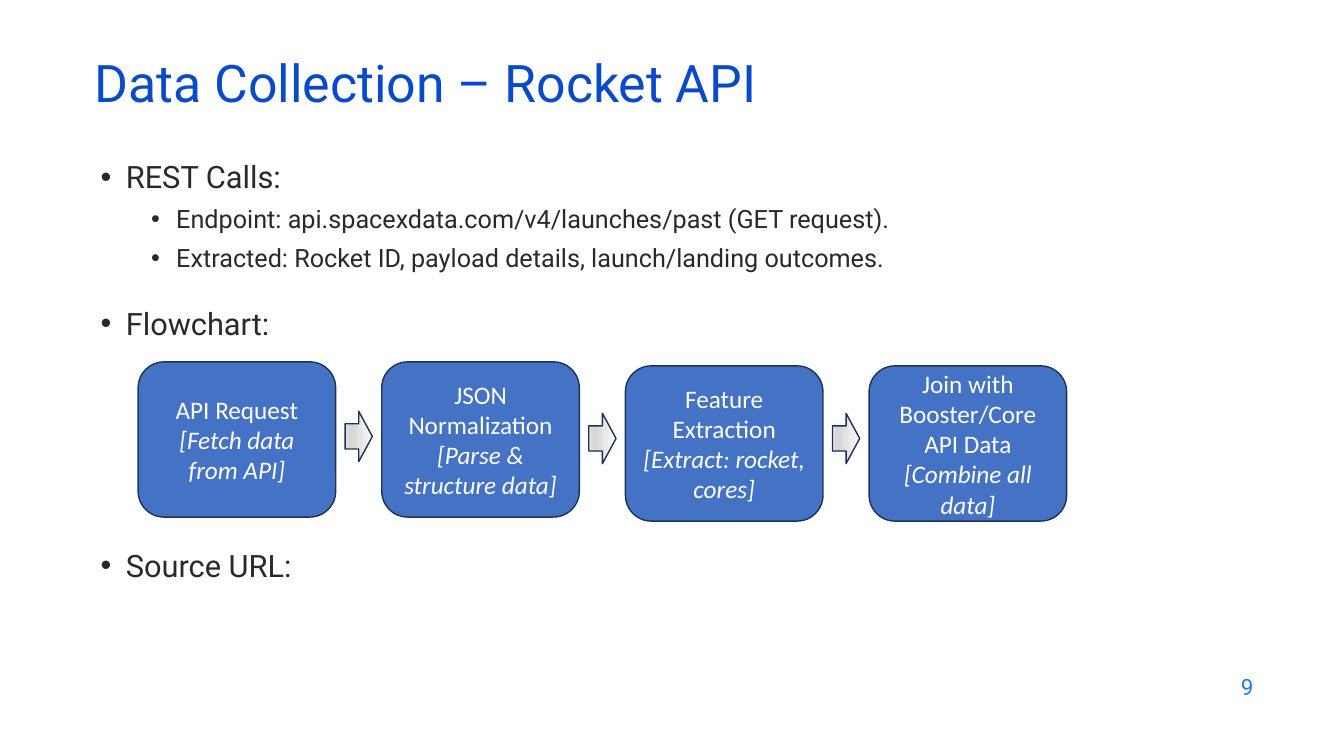
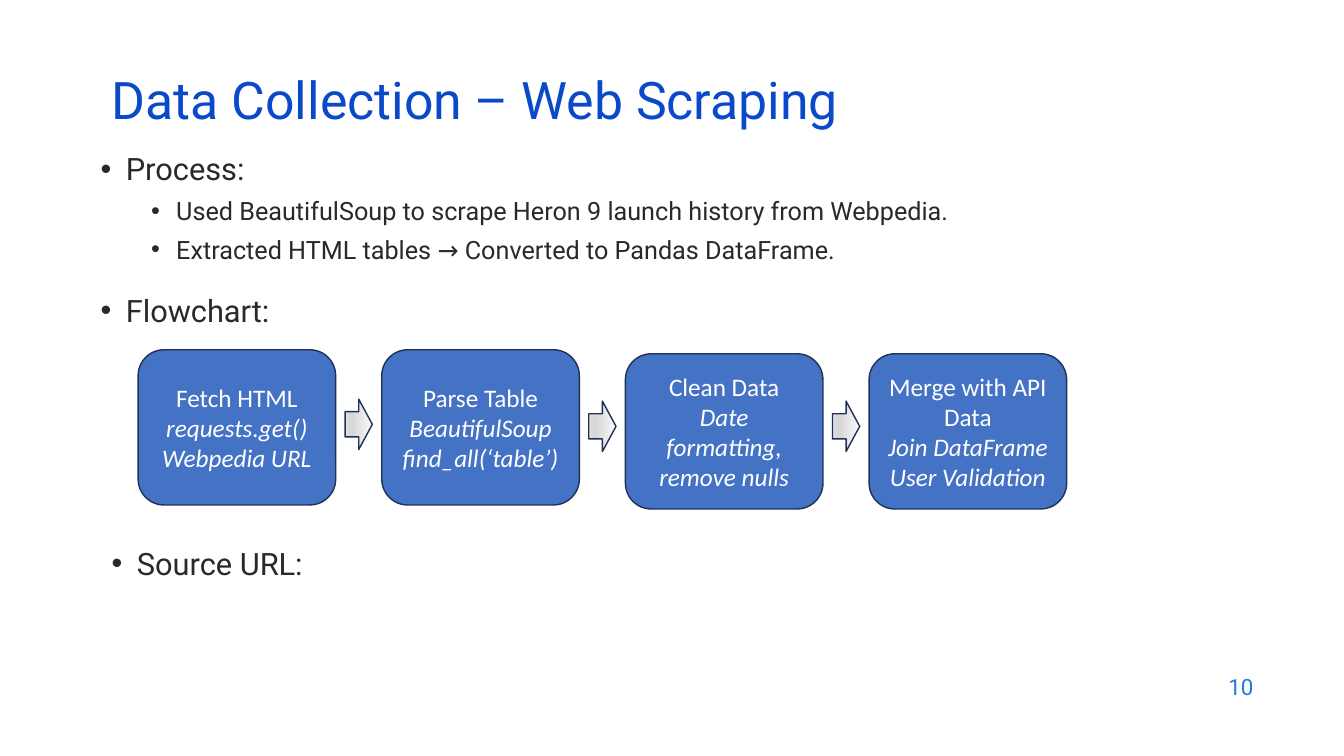
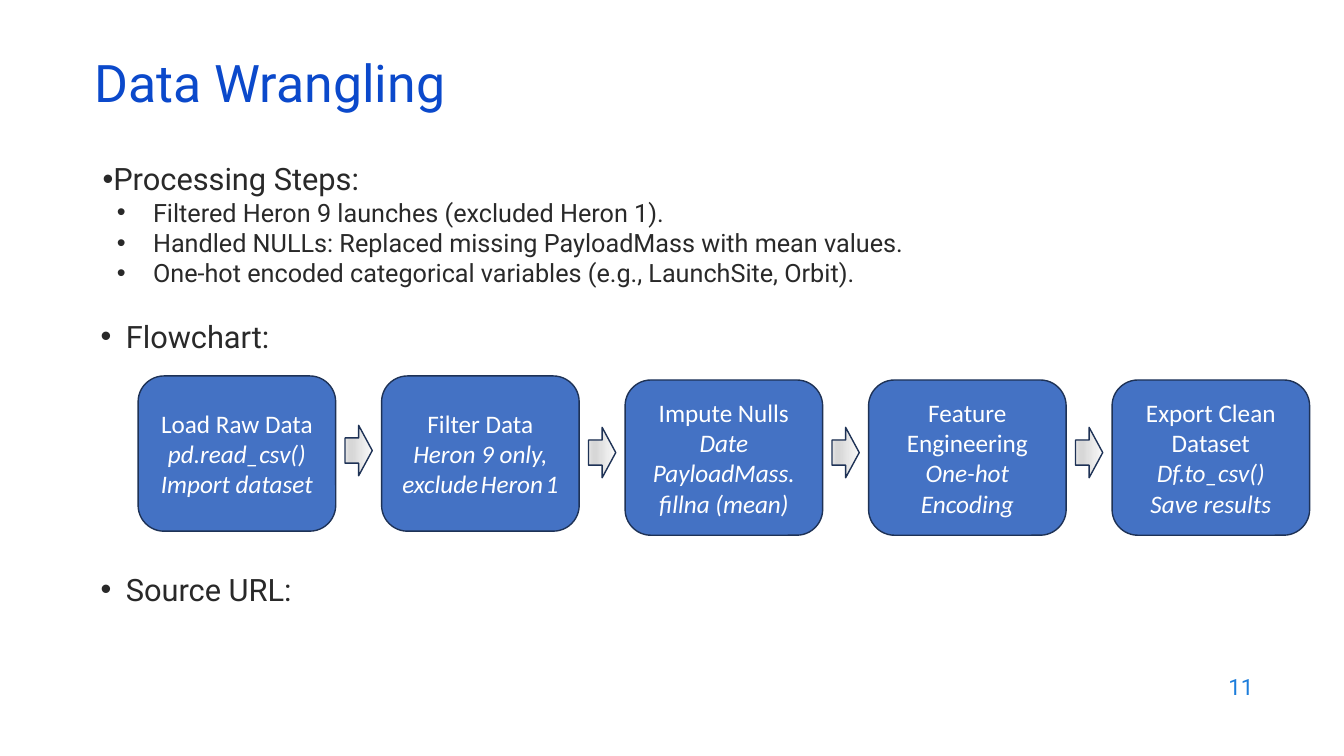
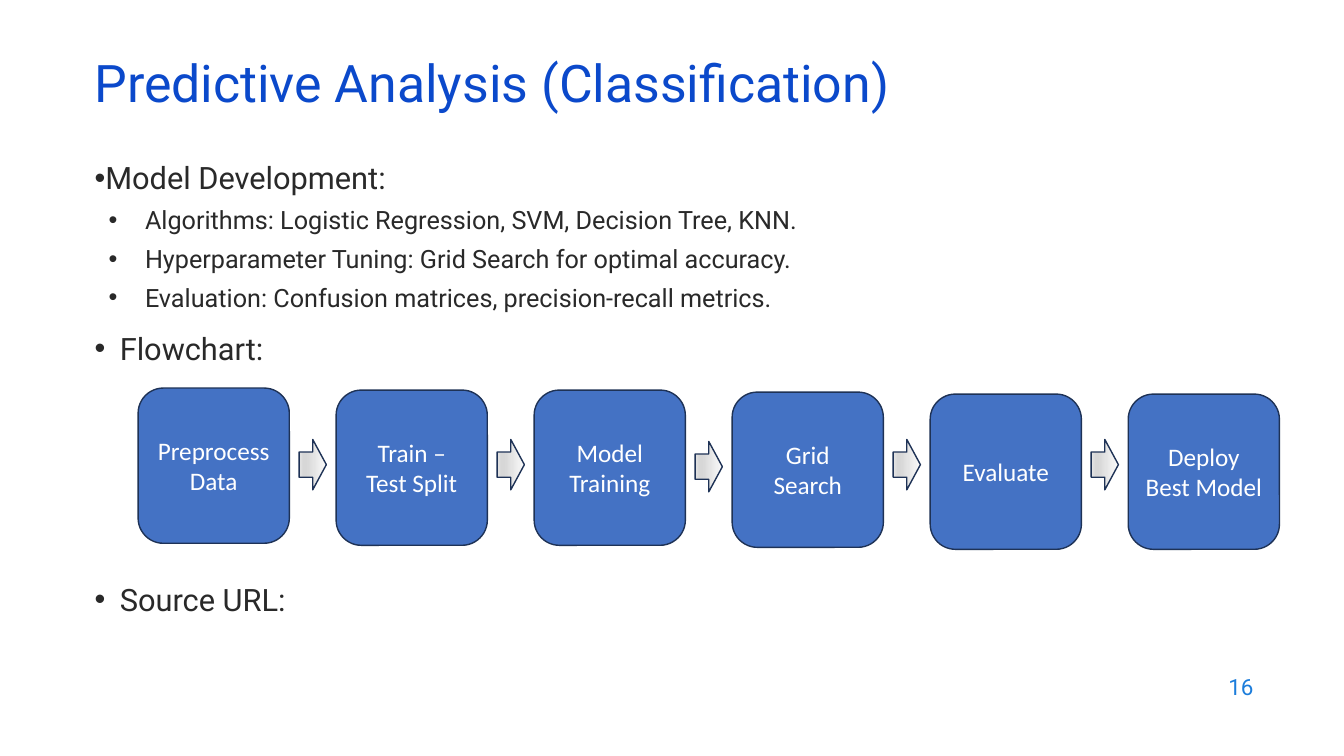
from lxml import etree
from pptx import Presentation
from pptx import util as u
from pptx.dml.color import RGBColor
from pptx.enum import shapes, text
from pptx.oxml.ns import qn

COLORS = {"title": "0B49CB", "body": "292929", "number": "1C7DDB",
          "box": "4472C4", "outline": "1E3256", "box_text": "FFFFFF"}
ARROW_STOPS = [(0, "FAFAFA"), (74, "D7D7D7"), (83, "D7D7D7"), (100, "E4E4E4")]

# Text styles
STYLES = {
    "title": {"name": "Roboto", "size": u.Pt(37), "color": "title"},
    "heading": {"name": "Roboto", "size": u.Pt(22), "color": "body"},
    "detail": {"name": "Roboto", "size": u.Pt(18), "color": "body"},
    "number": {"name": "Roboto", "size": u.Pt(16), "color": "number"},
    "step": {"name": "Calibri", "size": u.Pt(18), "color": "box_text"},
    "step_note": {"name": "Calibri", "size": u.Pt(18), "color": "box_text", "italic": True},
    "thin_space": {"name": "Calibri", "size": u.Pt(8), "color": "box_text", "italic": True},
}

# Bullet (margin, hanging indent) in inches
HEADING_INDENT = (0.25, -0.25)
WIDE_INDENTS = (HEADING_INDENT, (0.75, -0.25))
TIGHT_INDENTS = ((0, 0), (0.5, -0.36))

# Flowchart measures in inches
BOX_LEFT, BOX_HEIGHT = 1.37, 1.54
ARROW_WIDTH, ARROW_HEIGHT = 0.27, 0.5
THREE_LEVELS = {"box_drops": [0, 0, 0.04, 0.04, 0.04], "arrow_drops": [0.49, 0.51, 0.51, 0.51]}

# Content: each step is (lines, note lines); "~" marks a thin space
SLIDES = [
    {"number": 9, "title": "Data Collection – Rocket API", "title_at": (0.84, 0.59),
     "body_at": (0.9, 1.52, 11.44, 1.35), "indents": WIDE_INDENTS, "detail_gap": 6,
     "body": ["REST Calls:",
              "Endpoint: api.spacexdata.com/v4/launches/past (GET request).",
              "Extracted: Rocket ID, payload details, launch/landing outcomes."],
     "labels": [("Flowchart:", 0.9, 2.97), ("Source URL:", 0.9, 5.37)],
     "flow": {"top": 3.59, "last_left": 8.62, "width": 1.96, **THREE_LEVELS},
     "steps": [(["API Request"], ["[Fetch data from API]"]),
               (["JSON Normalization"], ["[Parse & structure data]"]),
               (["Feature Extraction"], ["[Extract: rocket, cores]"]),
               (["Join with Booster/Core API Data"], ["[Combine all data]"])]},
    {"number": 10, "title": "Data Collection – Web Scraping", "title_at": (1.01, 0.76),
     "body_at": (0.9, 1.44, 11.5, 1.41), "indents": WIDE_INDENTS, "detail_gap": 6,
     "body": ["Process:",
              "Used BeautifulSoup to scrape Heron 9 launch history from Webpedia.",
              "Extracted HTML tables → Converted to Pandas DataFrame."],
     "labels": [("Flowchart:", 0.9, 2.84), ("Source URL:", 1.01, 5.35)],
     "flow": {"top": 3.47, "last_left": 8.62, "width": 1.96, **THREE_LEVELS},
     "steps": [(["Fetch HTML"], ["requests.get() Webpedia URL"]),
               (["Parse Table"], ["BeautifulSoup find_all(‘table’)"]),
               (["Clean Data"], ["Date formatting, remove nulls"]),
               (["Merge with API Data"], ["Join DataFrame User Validation"])]},
    {"number": 11, "title": "Data Wrangling", "title_at": (0.84, 0.59),
     "body_at": (0.92, 1.54, 11.5, 1.53), "indents": TIGHT_INDENTS, "detail_gap": 0,
     "body": ["Processing Steps:",
              "Filtered Heron 9 launches (excluded Heron 1).",
              "Handled NULLs: Replaced missing PayloadMass with mean values.",
              "One-hot encoded categorical variables (e.g., LaunchSite, Orbit)."],
     "labels": [("Flowchart:", 0.9, 3.1), ("Source URL:", 0.9, 5.61)],
     "flow": {"top": 3.73, "last_left": 11.03, "width": 1.96, **THREE_LEVELS},
     "steps": [(["Load Raw Data"], ["pd.read_csv() Import dataset"]),
               (["Filter Data"], ["Heron 9 only, exclude~Heron~1"]),
               (["Impute Nulls"], ["Date PayloadMass.", "fillna (mean)"]),
               (["Feature Engineering"], ["One-hot Encoding"]),
               (["Export Clean Dataset"], ["Df.to_csv()", "Save results"])]},
    {"number": 16, "title": "Predictive Analysis (Classification)", "title_at": (0.84, 0.59),
     "body_at": (0.84, 1.53, 10.66, 1.69), "indents": TIGHT_INDENTS, "detail_gap": 6,
     "body": ["Model Development:",
              "Algorithms: Logistic Regression, SVM, Decision Tree, KNN.",
              "Hyperparameter Tuning: Grid Search for optimal accuracy.",
              "Evaluation: Confusion matrices, precision-recall metrics."],
     "labels": [("Flowchart:", 0.84, 3.22), ("Source URL:", 0.84, 5.71)],
     "flow": {"top": 3.85, "last_left": 11.19, "width": 1.5,
              "box_drops": [0, 0.02, 0.02, 0.04, 0.06, 0.06],
              "arrow_drops": [0.51, 0.51, 0.53, 0.51, 0.51]},
     "steps": [(["Preprocess Data"], []), (["Train –", "Test Split"], []),
               (["Model Training"], []), (["Grid Search"], []),
               (["Evaluate"], []), (["Deploy Best Model"], [])]},
]


def rgb(name):
    return RGBColor.from_string(COLORS[name])


def add_run(paragraph, words, style):
    run = paragraph.add_run()
    run.text = words
    for key, value in STYLES[style].items():
        if key == "color":
            run.font.color.rgb = rgb(value)
        else:
            setattr(run.font, key, value)


def add_line(frame, words, style, **formats):
    """Fill the first empty paragraph of the frame, or add one."""
    paragraph = frame.paragraphs[0]
    if paragraph.runs:
        paragraph = frame.add_paragraph()
    for key, value in formats.items():
        setattr(paragraph, key, value)
    for index, part in enumerate(words.split("~")):
        if index:
            add_run(paragraph, " ", "thin_space")
        add_run(paragraph, part, style)
    return paragraph


def add_bullet(paragraph, indent):
    properties = paragraph._p.get_or_add_pPr()
    for key, inches in zip(("marL", "indent"), indent):
        properties.set(key, str(u.Inches(inches)))
    etree.SubElement(properties, qn("a:buFont")).set("typeface", "Arial")
    etree.SubElement(properties, qn("a:buChar")).set("char", "•")


def add_frame(slide, left, top, width, height, anchor=text.MSO_ANCHOR.TOP):
    box = slide.shapes.add_textbox(*map(u.Inches, (left, top, width, height)))
    box.text_frame.word_wrap = True
    box.text_frame.vertical_anchor = anchor
    return box.text_frame


def add_outlined(slide, kind, left, top, width, height):
    shape = slide.shapes.add_shape(kind, *map(u.Inches, (left, top, width, height)))
    shape.shadow.inherit = False
    shape.line.color.rgb = rgb("outline")
    shape.line.width = u.Pt(1)
    return shape


def add_step(slide, left, top, width, lines, notes):
    box = add_outlined(slide, shapes.MSO_SHAPE.ROUNDED_RECTANGLE, left, top, width, BOX_HEIGHT)
    box.fill.solid()
    box.fill.fore_color.rgb = rgb("box")
    frame = box.text_frame
    frame.word_wrap = True
    frame.vertical_anchor = text.MSO_ANCHOR.MIDDLE
    for style, group in (("step", lines), ("step_note", notes)):
        for words in group:
            add_line(frame, words, style, alignment=text.PP_ALIGN.CENTER)


def add_arrow(slide, left, top):
    arrow = add_outlined(slide, shapes.MSO_SHAPE.RIGHT_ARROW, left, top, ARROW_WIDTH, ARROW_HEIGHT)
    arrow.fill.gradient()
    arrow.fill.gradient_angle = 180
    stops = arrow.element.spPr.find(qn("a:gradFill")).find(qn("a:gsLst"))
    for stop in list(stops):
        stops.remove(stop)
    for percent, color in ARROW_STOPS:
        stop = etree.SubElement(stops, qn("a:gs"), pos=str(percent * 1000))
        etree.SubElement(stop, qn("a:srgbClr"), val=color)


def add_flowchart(slide, steps, flow):
    top, width = flow["top"], flow["width"]
    pitch = (flow["last_left"] - BOX_LEFT) / (len(steps) - 1)
    for index, (lines, notes) in enumerate(steps):
        add_step(slide, BOX_LEFT + index * pitch, top + flow["box_drops"][index],
                 width, lines, notes)
    arrow_left = BOX_LEFT + (width + pitch - ARROW_WIDTH) / 2
    for index in range(len(steps) - 1):
        add_arrow(slide, arrow_left + index * pitch, top + flow["arrow_drops"][index])


def build_slide(presentation, content):
    slide = presentation.slides.add_slide(presentation.slide_layouts[6])

    # Slide number and title
    frame = add_frame(slide, 9.53, 6.59, 3, 0.44, text.MSO_ANCHOR.MIDDLE)
    add_line(frame, str(content["number"]), "number", alignment=text.PP_ALIGN.RIGHT)
    frame = add_frame(slide, *content["title_at"], 11.5, 0.6, text.MSO_ANCHOR.MIDDLE)
    add_line(frame, content["title"], "title", line_spacing=0.7)

    # Heading with details
    frame = add_frame(slide, *content["body_at"])
    heading, *details = content["body"]
    heading_indent, detail_indent = content["indents"]
    add_bullet(add_line(frame, heading, "heading"), heading_indent)
    for words in details:
        paragraph = add_line(frame, words, "detail", level=1,
                             space_before=u.Pt(content["detail_gap"]))
        add_bullet(paragraph, detail_indent)

    # Labels above and below the flowchart
    for words, left, top in content["labels"]:
        frame = add_frame(slide, left, top, 5.07, 0.51)
        add_bullet(add_line(frame, words, "heading"), HEADING_INDENT)

    add_flowchart(slide, content["steps"], content["flow"])


def main():
    presentation = Presentation()
    presentation.slide_width = u.Inches(13.33)
    presentation.slide_height = u.Inches(7.5)
    for content in SLIDES:
        build_slide(presentation, content)
    presentation.save("out.pptx")


if __name__ == "__main__":
    main()
